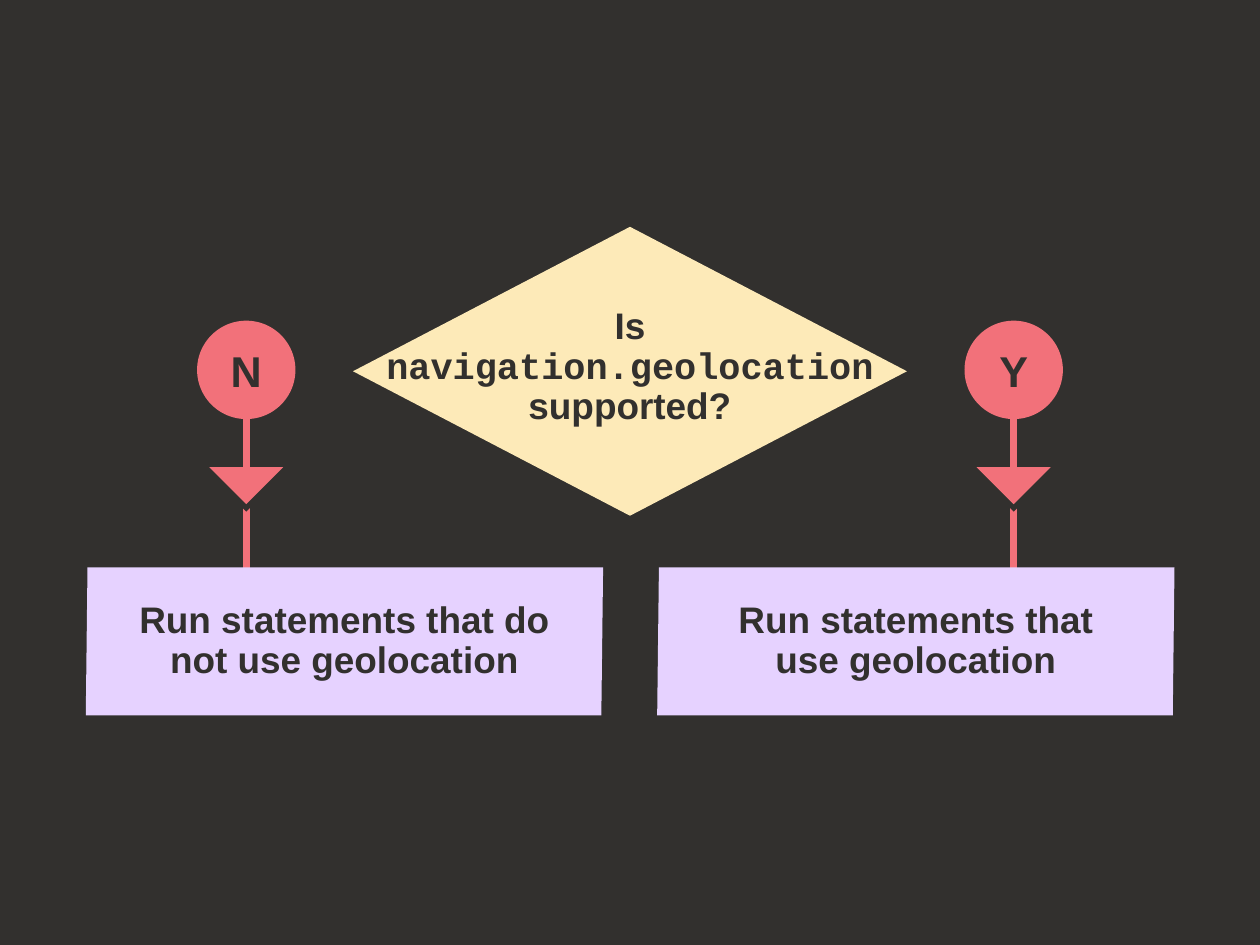
from dataclasses import dataclass

from lxml.etree import SubElement
from pptx import Presentation
from pptx.dml.color import RGBColor
from pptx.enum.shapes import MSO_CONNECTOR, MSO_SHAPE
from pptx.enum.text import MSO_ANCHOR, PP_ALIGN
from pptx.oxml.ns import qn
from pptx.util import Cm, Pt


@dataclass(frozen=True)
class Theme:
    """Colours, fonts and type sizes of the slide."""

    dark: RGBColor = RGBColor.from_string("32302E")
    branch: RGBColor = RGBColor.from_string("F2717A")
    question: RGBColor = RGBColor.from_string("FDEAB8")
    action: RGBColor = RGBColor.from_string("E6D2FF")
    sans: str = "Arial"
    mono: str = "Courier New"
    body: Pt = Pt(30)
    label: Pt = Pt(35)
    stroke: Pt = Pt(6)
    shadow: Pt = Pt(6)


THEME = Theme()
SLIDE_WIDTH, SLIDE_HEIGHT = 36.12, 27.08
CENTRE = SLIDE_WIDTH / 2


def apply_format(target, values):
    """Set each named attribute of the target."""
    for name, value in values.items():
        setattr(target, name, value)


def paint(shape, colour):
    """Give the shape a plain fill without outline or shadow."""
    shape.shadow.inherit = False
    shape.fill.solid()
    shape.fill.fore_color.rgb = colour
    shape.line.fill.background()


def write_lines(shape, lines, size, spacing=0.9, bottom=0.0):
    """Write centred bold paragraphs from pairs of text and font name."""
    frame = shape.text_frame
    apply_format(frame, {
        "word_wrap": False, "vertical_anchor": MSO_ANCHOR.MIDDLE,
        "margin_left": 0, "margin_right": 0, "margin_top": 0, "margin_bottom": Cm(bottom),
    })
    for index, (text, font_name) in enumerate(lines):
        paragraph = frame.add_paragraph() if index else frame.paragraphs[0]
        apply_format(paragraph, {"alignment": PP_ALIGN.CENTER, "line_spacing": spacing})
        run = paragraph.add_run()
        run.text = text
        apply_format(run.font, {"name": font_name, "size": size, "bold": True})
        run.font.color.rgb = THEME.dark


def add_preset(slide, preset, centre, top, width, height, colour):
    """Add a painted preset shape centred on a vertical axis."""
    shape = slide.shapes.add_shape(
        preset, Cm(centre - width / 2), Cm(top), Cm(width), Cm(height))
    paint(shape, colour)
    return shape


def add_stem(slide, centre, top, bottom):
    """Add the vertical line of a branch."""
    stem = slide.shapes.add_connector(
        MSO_CONNECTOR.STRAIGHT, Cm(centre), Cm(top), Cm(centre), Cm(bottom))
    stem.line.color.rgb = THEME.branch
    stem.line.width = THEME.stroke
    SubElement(stem._element.spPr, qn("a:effectLst"))


def add_action(slide, left, lines):
    """Add a slightly slanted action box with its text."""
    top, width, height, slant = 16.26, 14.78, 4.24, 0.05
    builder = slide.shapes.build_freeform(Cm(left + slant), Cm(top))
    builder.add_line_segments([
        (Cm(left + slant + width), Cm(top)),
        (Cm(left + width), Cm(top + height)),
        (Cm(left), Cm(top + height)),
    ])
    box = builder.convert_to_shape()
    paint(box, THEME.action)
    write_lines(box, [(line, THEME.sans) for line in lines], THEME.body)


def add_arrowhead(slide, centre):
    """Add a downward triangle whose hard shadow cuts the stem."""
    arrowhead = add_preset(
        slide, MSO_SHAPE.FLOWCHART_MERGE, centre, 13.39, 2.12, 1.06, THEME.branch)
    effects = arrowhead._element.spPr.find(qn("a:effectLst"))
    shadow = SubElement(effects, qn("a:outerShdw"), {
        "blurRad": "0", "dist": str(int(THEME.shadow)), "dir": "5400000",
        "algn": "ctr", "rotWithShape": "0"})
    SubElement(shadow, qn("a:srgbClr"), val=str(THEME.dark))


def add_branch(slide, answer, centre, box_left, lines):
    """Add one answer with its stem, arrowhead and action box."""
    add_stem(slide, centre, 10.8, 17.32)
    add_action(slide, box_left, lines)
    circle = add_preset(slide, MSO_SHAPE.OVAL, centre, 9.19, 2.82, 2.82, THEME.branch)
    write_lines(circle, [(answer, THEME.sans)], THEME.label, spacing=1.0)
    add_arrowhead(slide, centre)


def add_question(slide):
    """Add the decision diamond with its question."""
    diamond = add_preset(
        slide, MSO_SHAPE.DIAMOND, CENTRE, 6.5, 15.88, 8.28, THEME.question)
    lines = [("Is", THEME.sans), ("navigation.geolocation", THEME.mono),
             ("supported?", THEME.sans)]
    write_lines(diamond, lines, THEME.body, bottom=0.23)


def main():
    """Build and save the slide."""
    presentation = Presentation()
    apply_format(presentation, {
        "slide_width": Cm(SLIDE_WIDTH), "slide_height": Cm(SLIDE_HEIGHT)})
    slide = presentation.slides.add_slide(presentation.slide_layouts[6])
    slide.background.fill.solid()
    slide.background.fill.fore_color.rgb = THEME.dark
    add_question(slide)
    add_branch(slide, "N", CENTRE - 11, 2.46,
               ["Run statements that do", "not use geolocation"])
    add_branch(slide, "Y", CENTRE + 11, 18.84,
               ["Run statements that", "use geolocation"])
    presentation.save("out.pptx")


if __name__ == "__main__":
    main()
